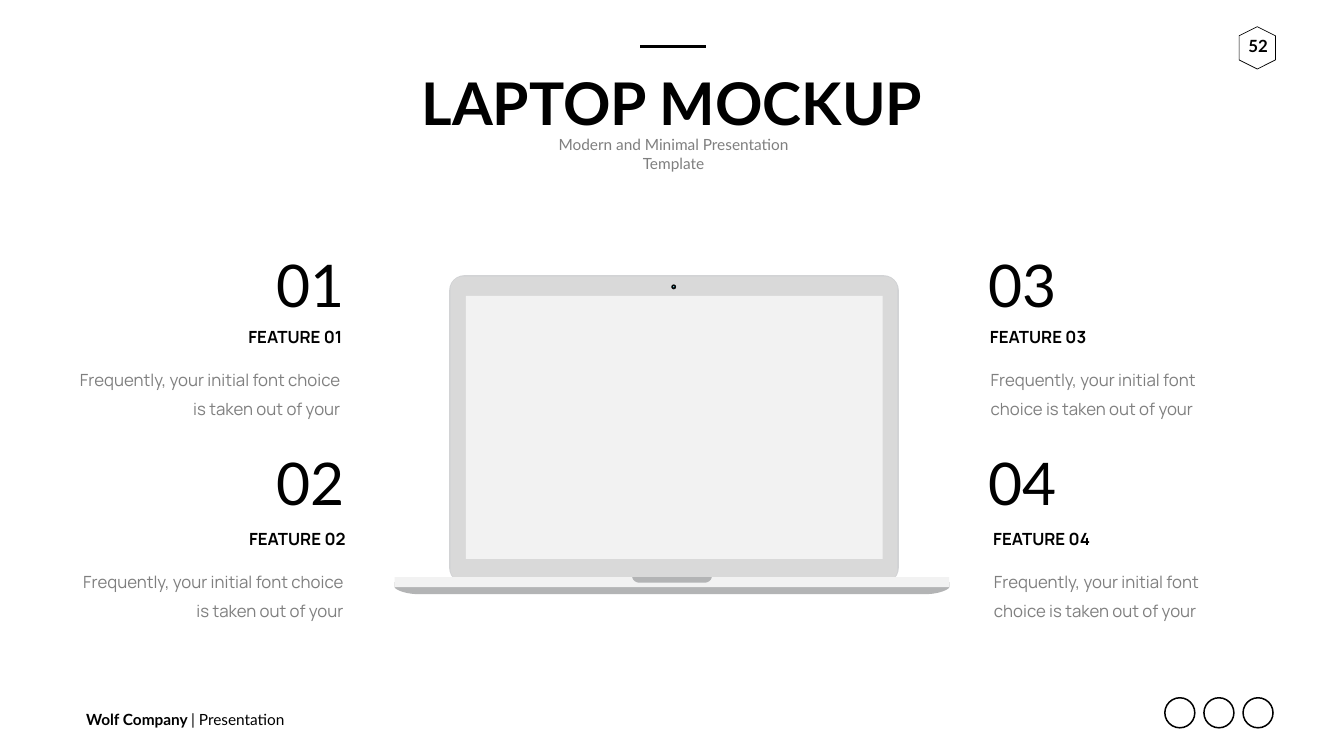
import pptx
import pptx.dml.color
import pptx.enum.shapes
import pptx.enum.text
import pptx.oxml
import pptx.util

RGBColor = pptx.dml.color.RGBColor
MSO_SHAPE = pptx.enum.shapes.MSO_SHAPE
PP_ALIGN = pptx.enum.text.PP_ALIGN
MSO_ANCHOR = pptx.enum.text.MSO_ANCHOR
Pt = pptx.util.Pt

WIDTH = pptx.util.Inches(26.66)
HEIGHT = pptx.util.Inches(15)

BLACK = RGBColor(0x00, 0x00, 0x00)
WHITE = RGBColor(0xFF, 0xFF, 0xFF)
GREY_TEXT = RGBColor(0x7F, 0x7F, 0x7F)
EDGE = RGBColor(0xD2, 0xD3, 0xD5)
LID = RGBColor(0xD9, 0xD9, 0xD9)
PALE = RGBColor(0xF2, 0xF2, 0xF2)
BASE = RGBColor(0xB3, 0xB4, 0xB5)
CAMERA_RIM = RGBColor(0x2C, 0x2C, 0x2C)
CAMERA_BODY = RGBColor(0x0A, 0x0A, 0x0A)
LENS = RGBColor(0x2C, 0x99, 0xB4)

FEATURE_TEXT = "Frequently, your initial font choice is taken out of your"


def across(percent):
    return round(WIDTH * percent / 100)


def down(percent):
    return round(HEIGHT * percent / 100)


def place(left, top, width, height):
    """Turn percentages of the slide into EMU."""
    return across(left), down(top), across(width), down(height)


def fill_text(shape, runs, size, font="Lato", color=BLACK, align=PP_ALIGN.LEFT,
              anchor=MSO_ANCHOR.MIDDLE, wrap=False):
    """Write (text, bold) runs into one paragraph and return it."""
    frame = shape.text_frame
    frame.word_wrap = wrap
    frame.auto_size = pptx.enum.text.MSO_AUTO_SIZE.NONE
    frame.vertical_anchor = anchor
    paragraph = frame.paragraphs[0]
    paragraph.alignment = align
    for text, bold in runs:
        run = paragraph.add_run()
        run.text = text
        run.font.name = font
        run.font.size = Pt(size)
        run.font.bold = bold
        run.font.color.rgb = color
    return paragraph


def add_text(slide, box, runs, size, **style):
    shape = slide.shapes.add_textbox(*place(*box))
    return shape, fill_text(shape, runs, size, **style)


def paint(shape, fill):
    shape.shadow.inherit = False
    shape.fill.solid()
    shape.fill.fore_color.rgb = fill
    shape.line.fill.background()


def add_filled(slide, kind, box, fill, corner=None):
    shape = slide.shapes.add_shape(kind, *place(*box))
    paint(shape, fill)
    if corner is not None:
        shape.adjustments[0] = corner


def add_outlined(slide, kind, box, line_width):
    shape = slide.shapes.add_shape(kind, *place(*box))
    shape.shadow.inherit = False
    shape.fill.background()
    shape.line.color.rgb = BLACK
    shape.line.width = Pt(line_width)
    return shape


def curve(start, first, second, end, steps=12):
    """Points along a cubic Bezier curve."""
    points = []
    for step in range(steps + 1):
        t = step / steps
        weights = ((1 - t) ** 3, 3 * t * (1 - t) ** 2, 3 * t * t * (1 - t), t ** 3)
        points.append(tuple(
            sum(weight * value for weight, value in zip(weights, values))
            for values in zip(start, first, second, end)))
    return points


def add_symmetric(slide, left_half, fill):
    """Outline mirrored about the middle of the slide."""
    right_half = [(100 - x, y) for x, y in reversed(left_half)]
    points = [(across(x), down(y)) for x, y in left_half + right_half]
    builder = slide.shapes.build_freeform(*points[0])
    builder.add_line_segments(points[1:], close=True)
    paint(builder.convert_to_shape(), fill)


def add_laptop(slide):
    base_corner = curve((29.37, 77.67), (29.37, 77.93), (30.08, 78.6), (31.21, 78.6))
    add_symmetric(slide, [(29.37, 77)] + base_corner, BASE)
    rounded = MSO_SHAPE.ROUNDED_RECTANGLE
    add_filled(slide, rounded, (33.42, 36.4, 33.46, 40.73), EDGE, 0.05)
    add_filled(slide, rounded, (33.53, 36.6, 33.23, 40.33), LID, 0.04)
    add_filled(slide, MSO_SHAPE.RECTANGLE, (29.37, 76.33, 41.26, 1.33), PALE)
    notch = curve((47.04, 76.33), (47.07, 76.73), (47.3, 77.07), (47.56, 77.07))
    add_symmetric(slide, notch, BASE)
    add_filled(slide, MSO_SHAPE.RECTANGLE, (34.66, 39.13, 31.02, 34.8), PALE)

    camera_x, camera_y = 50.13, 37.93
    oval = MSO_SHAPE.OVAL
    for kind, width, height, drop, fill in (
            (oval, 0.34, 0.6, 0.04, CAMERA_RIM), (oval, 0.34, 0.6, 0, CAMERA_BODY),
            (oval, 0.23, 0.4, 0, BLACK), (oval, 0.11, 0.2, 0, LENS),
            (MSO_SHAPE.DIAMOND, 0.04, 0.07, 0, WHITE)):
        box = (camera_x - width / 2, camera_y - height / 2 + drop, width, height)
        add_filled(slide, kind, box, fill)


def add_header(slide):
    title = slide.shapes.title
    title.left, title.top, title.width, title.height = place(30.68, 8.53, 38.63, 10.07)
    fill_text(title, [("LAPTOP MOCKUP", True)], 84, align=PP_ALIGN.CENTER,
              anchor=MSO_ANCHOR.TOP)
    add_text(slide, (38.93, 18.8, 22.36, 3.13),
             [("Modern and Minimal Presentation Template", False)], 22,
             color=GREY_TEXT, align=PP_ALIGN.CENTER, wrap=True)
    rule = slide.shapes.add_connector(
        pptx.enum.shapes.MSO_CONNECTOR.STRAIGHT,
        across(47.64), down(6.13), across(52.51), down(6.13))
    rule.line.color.rgb = BLACK
    rule.line.width = Pt(4.5)
    rule._element.spPr.append(pptx.oxml.parse_xml(
        '<a:effectLst xmlns:a="http://schemas.openxmlformats.org/drawingml/2006/main"/>'))


def add_page_number(slide):
    hexagon = add_outlined(slide, MSO_SHAPE.HEXAGON, (91.97, 3.93, 3.15, 4.8), 1)
    hexagon.rotation = 90
    add_text(slide, (91.82, 4.33, 3.56, 4.07), [("52", True)], 24,
             align=PP_ALIGN.CENTER, anchor=MSO_ANCHOR.TOP)


def add_footer(slide):
    add_text(slide, (6.04, 93.53, 15.64, 3.13),
             [("Wolf Company ", True), ("| Presentation", False)], 22)
    for index in range(3):
        add_outlined(slide, MSO_SHAPE.OVAL,
                     (86.67 + 2.91 * index, 92.3, 2.23, 3.97), 2.16)


def add_feature(slide, index):
    """Number, heading and text; two features to the left, then two to the right."""
    side, row = divmod(index, 2)
    align = (PP_ALIGN.RIGHT, PP_ALIGN.LEFT)[side]
    number_left, heading_left, body_left, body_width = (
        (20.11, 17.74, 4.65, 21.57), (73.11, 73.29, 72.81, 18.34))[side]
    number = f"{index + 1:02}"
    shift, drop = 0.24 * row, 26.73 * row

    add_text(slide, (number_left, 32.53 + 26.27 * row, 5.89, 10.07),
             [(number, False)], 84, align=(PP_ALIGN.RIGHT, PP_ALIGN.CENTER)[side],
             anchor=MSO_ANCHOR.TOP)
    add_text(slide, (heading_left + shift, 42.87 + drop, 8.1, 3.33),
             [(f"FEATURE {number}", True)], 24, font="Manrope", align=align)
    body, paragraph = add_text(
        slide, (body_left + shift, 47.07 + drop, body_width, 9.07),
        [(FEATURE_TEXT, False)], 24, font="Manrope", color=GREY_TEXT,
        align=align, anchor=MSO_ANCHOR.TOP, wrap=True)
    frame = body.text_frame
    frame.margin_left = frame.margin_right = pptx.util.Inches(0.24)
    frame.margin_top = frame.margin_bottom = pptx.util.Inches(0.12)
    paragraph.line_spacing = Pt(40.4)
    paragraph.space_before = Pt(4.8)


def main():
    presentation = pptx.Presentation()
    presentation.slide_width = WIDTH
    presentation.slide_height = HEIGHT
    slide = presentation.slides.add_slide(presentation.slide_layouts[5])
    add_footer(slide)
    add_page_number(slide)
    add_laptop(slide)
    add_header(slide)
    for index in range(4):
        add_feature(slide, index)
    presentation.save("out.pptx")


if __name__ == "__main__":
    main()
